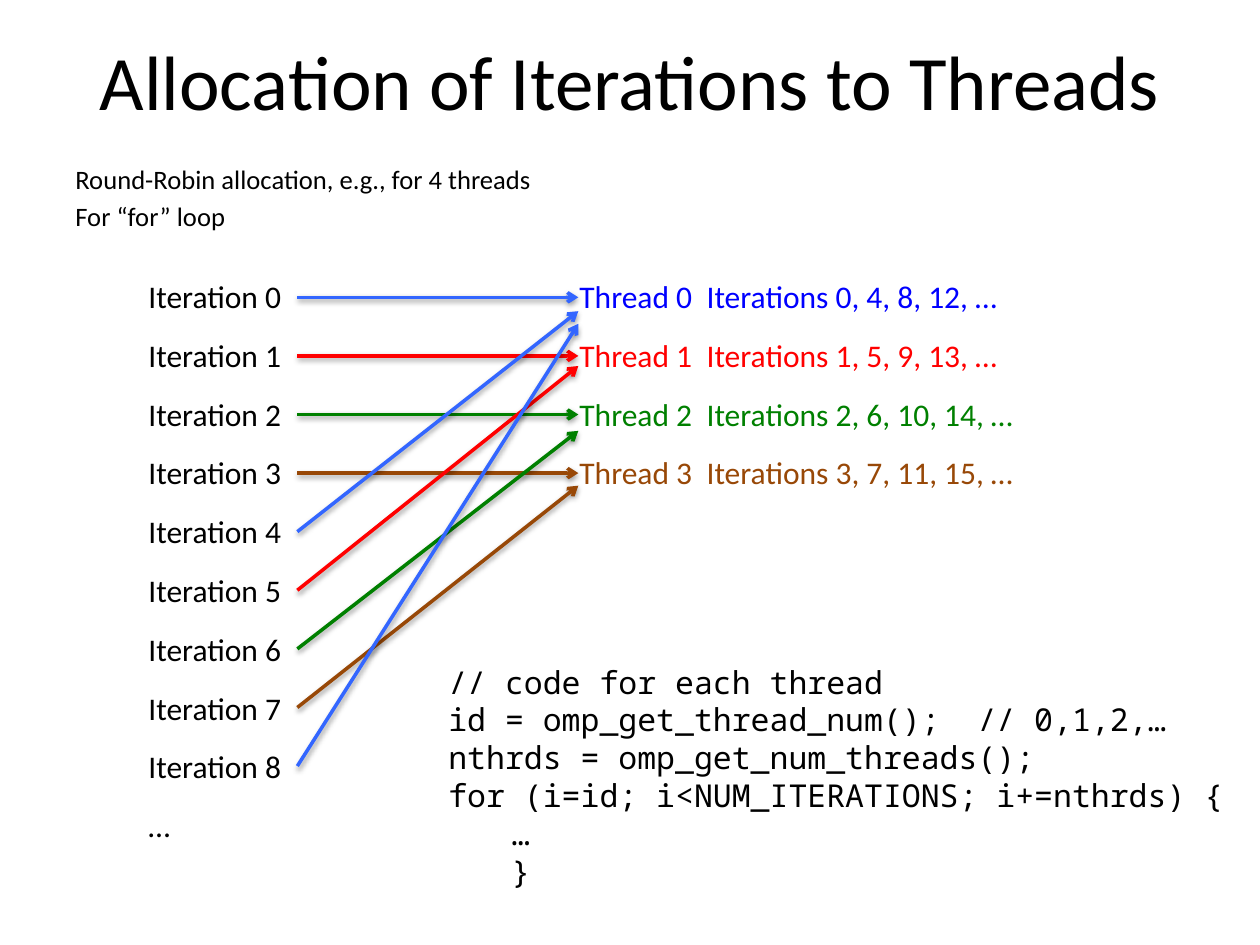
"""Slide showing round-robin allocation of loop iterations to four threads."""
from pptx import Presentation, util as u
from pptx.dml.color import RGBColor
from pptx.enum import shapes, text
from pptx.oxml import parse_xml
from pptx.oxml.ns import nsdecls


def style(para, size, color="000000", face="Calibri", gap=0):
    para.font.size = u.Pt(size)
    para.font.name = face
    para.font.color.rgb = RGBColor.from_string(color)
    para.space_before = u.Pt(gap)


def write(box, lines, size, colors=("000000",), face="Calibri", gap=0, wrap=False):
    area = slide.shapes.add_textbox(*[u.Inches(n) for n in box])
    frame = area.text_frame
    frame.word_wrap = wrap
    for n, line in enumerate(lines):
        para = frame.paragraphs[0] if n == 0 else frame.add_paragraph()
        para.text = line
        style(para, size, colors[n % len(colors)], face, gap)


deck = Presentation()
deck.slide_width, deck.slide_height = u.Inches(10), u.Inches(7.5)
slide = deck.slides.add_slide(deck.slide_layouts[5])

title = slide.shapes.title
title.left, title.top = u.Inches(0.5), u.Inches(0.01)
title.width, title.height = u.Inches(9), u.Inches(1.25)
title.text_frame.text = "Allocation of Iterations to Threads"
title.text_frame.vertical_anchor = text.MSO_ANCHOR.MIDDLE
head = title.text_frame.paragraphs[0]
head.alignment = text.PP_ALIGN.CENTER
style(head, 44)

write((0.5, 1.24, 9, 0.63),
      ["Round-Robin allocation, e.g., for 4 threads", "For “for” loop"],
      15.2, gap=3, wrap=True)

count = 4
top, row = 2.36, 0.465
start, end = 2.36, 4.59
inks = ["0000FF", "FF0000", "008000", "984807"]
lines = ["3366FF"] + inks[1:]
drops = [0, 0, 0, 0, 0.11, 0.08, 0.13, 0.1, 0.21]

write((1.08, 2.15, 1.28, 4.64),
      [f"Iteration {n}" for n in range(len(drops))] + ["…"], 18, gap=12)

for n, drop in enumerate(drops):
    thread = n % count
    arrow = slide.shapes.add_connector(
        shapes.MSO_CONNECTOR.STRAIGHT,
        u.Inches(start), u.Inches(top + n * row),
        u.Inches(end), u.Inches(top + thread * row + drop))
    arrow.line.width = u.Pt(2)
    arrow.line.color.rgb = RGBColor.from_string(lines[thread])
    arrow.line._get_or_add_ln().append(
        parse_xml(f'<a:tailEnd {nsdecls("a")} type="arrow"/>'))

write((4.5, 2.15, 1.11, 1.82),
      [f"Thread {n}" for n in range(count)], 18, inks, gap=12)
write((5.51, 2.15, 2.69, 1.82),
      [f"Iterations {n}, {n + 4}, {n + 8}, {n + 12}, …" for n in range(count)],
      18, inks, gap=12)

write((3.46, 5.21, 6.41, 1.92),
      ["// code for each thread",
       "id = omp_get_thread_num();  // 0,1,2,…",
       "nthrds = omp_get_num_threads();",
       "for (i=id; i<NUM_ITERATIONS; i+=nthrds) {",
       "\t…",
       "\t}"],
      18, face="Noto Sans Mono")

deck.save("out.pptx")
